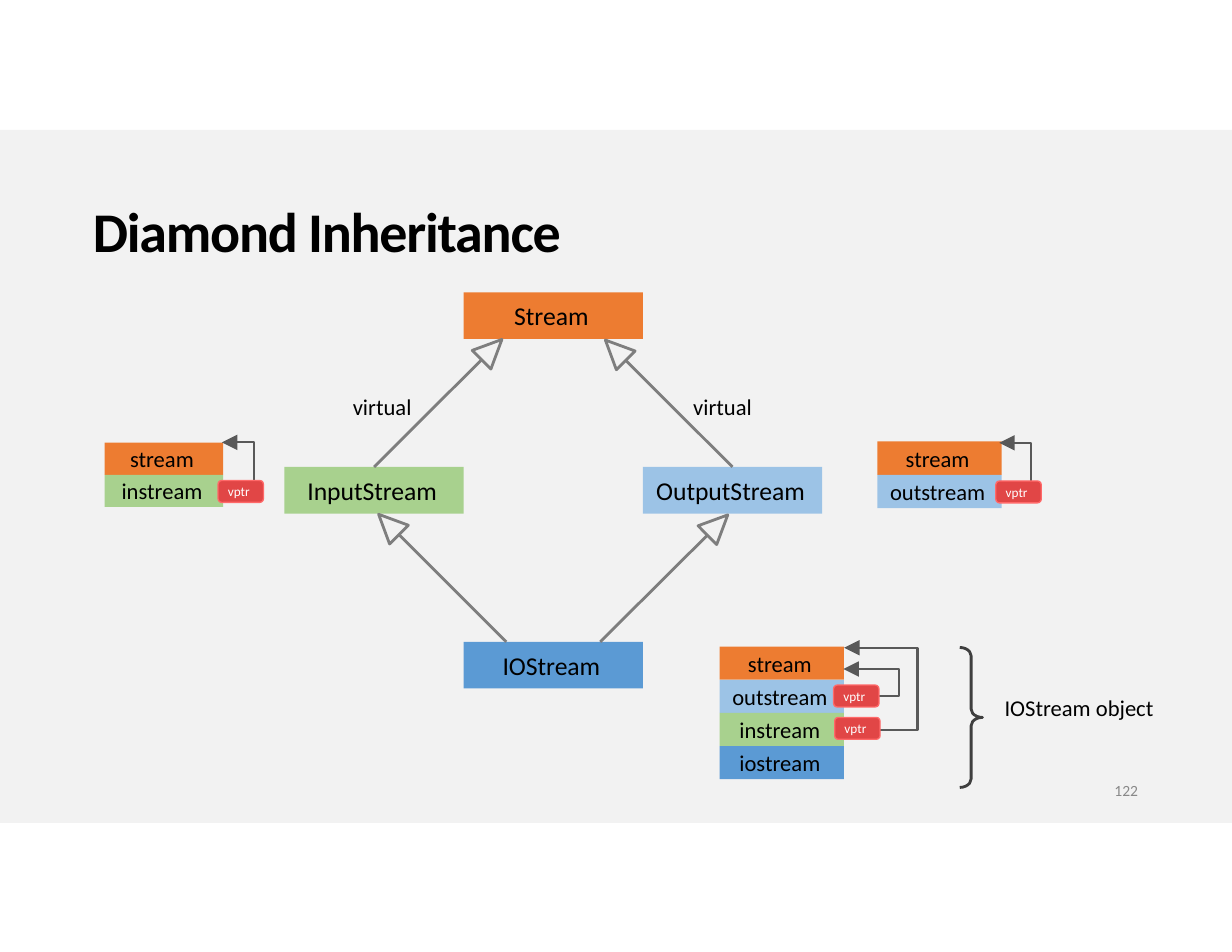
from dataclasses import dataclass
from math import hypot

from lxml import etree
from pptx import Presentation
from pptx.dml.color import RGBColor
from pptx.enum.shapes import MSO_CONNECTOR as CONN, MSO_SHAPE as SHAPE
from pptx.enum.text import MSO_ANCHOR as ANCHOR, PP_ALIGN as ALIGN
from pptx.oxml.ns import qn
from pptx.util import Pt


@dataclass(frozen=True)
class Theme:
    font: str = "Calibri"
    band: str = "F2F2F2"
    ink: str = "000000"
    white: str = "FFFFFF"
    orange: str = "ED7C31"
    blue: str = "5B9AD4"
    sky: str = "9CC3E6"
    green: str = "A8D18E"
    red: str = "E14646"
    red_edge: str = "FF6969"
    inherit: str = "7E7E7E"
    pointer: str = "595959"
    brace: str = "3F3F3F"
    page: str = "898989"
    title_pt: float = 36
    class_pt: float = 16.5
    body_pt: float = 14.5
    page_pt: float = 10
    tag_pt: float = 8.5


T = Theme()
rgb = RGBColor.from_string

prs = Presentation()
prs.slide_width, prs.slide_height = Pt(792), Pt(612)
s = prs.slides.add_slide(prs.slide_layouts[5])


def write(sp, text, size, color=T.ink, align=ALIGN.CENTER, bold=False):
    tf = sp.text_frame
    tf.word_wrap = True
    tf.vertical_anchor = ANCHOR.MIDDLE
    tf.margin_left = tf.margin_top = tf.margin_bottom = 0
    tf.margin_right = Pt(2.5)
    p = tf.paragraphs[0]
    p.alignment = align
    r = p.add_run()
    r.text = text
    r.font.name, r.font.size, r.font.bold = T.font, Pt(size), bold
    r.font.color.rgb = rgb(color)
    return r


def box(x, y, w, h, fill, kind=SHAPE.RECTANGLE):
    sp = s.shapes.add_shape(kind, Pt(x), Pt(y), Pt(w), Pt(h))
    sp.shadow.inherit = False
    sp.fill.solid()
    sp.fill.fore_color.rgb = rgb(fill)
    sp.line.fill.background()
    return sp


# Grey band, behind everything
band = box(0, 83.5, 792, 445.5, T.band)
s.shapes._spTree.insert(2, band._element)

# Title
title = s.shapes.title
title.left, title.top, title.width, title.height = Pt(59), Pt(122.4), Pt(520), Pt(46)
r = write(title, "Diamond Inheritance", T.title_pt, align=ALIGN.LEFT, bold=True)
r._r.get_or_add_rPr().set("spc", "-80")
title.text_frame.vertical_anchor = ANCHOR.TOP
title.text_frame.margin_left, title.text_frame.margin_top = Pt(0.7), Pt(4)

# Class boxes
classes = {}
for name, x, y, fill in [
    ("Stream", 298.1, 187.9, T.orange),
    ("InputStream", 182.9, 300.2, T.green),
    ("OutputStream", 413.3, 300.2, T.sky),
    ("IOStream", 298.1, 412.6, T.blue),
]:
    classes[name] = box(x, y, 115.2, 30, fill)
    write(classes[name], name, T.class_pt)

# Inheritance arrows: a line that ends at the base of a hollow triangle
HEAD, HALF = 18.5, 8.5
for (x1, y1), (x2, y2), child in [
    ((240.5, 300.2), (322.7, 218.2), "InputStream"),
    ((470.9, 300.2), (389.2, 218.6), "OutputStream"),
    ((325.5, 412.6), (243.4, 330.6), None),
    ((385.9, 412.6), (467.9, 331), None),
]:
    d = hypot(x2 - x1, y2 - y1)
    ux, uy = (x2 - x1) / d, (y2 - y1) / d
    bx, by = x2 - HEAD * ux, y2 - HEAD * uy
    line = s.shapes.add_connector(CONN.STRAIGHT, Pt(x1), Pt(y1), Pt(bx), Pt(by))
    if child:
        line.begin_connect(classes[child], 0)
    etree.SubElement(line._element.spPr, qn("a:effectLst"))
    fb = s.shapes.build_freeform(Pt(x2), Pt(y2))
    fb.add_line_segments([
        (Pt(bx - HALF * uy), Pt(by + HALF * ux)),
        (Pt(bx + HALF * uy), Pt(by - HALF * ux)),
    ], close=True)
    head = fb.convert_to_shape()
    head.shadow.inherit = False
    head.fill.background()
    for part in (line, head):
        part.line.color.rgb = rgb(T.inherit)
        part.line.width = Pt(1.8)

# Object layouts, one row per subobject
fills = {"stream": T.orange, "outstream": T.sky, "instream": T.green, "iostream": T.blue}
for x, y, w, row_h, rows in [
    (67.3, 284.6, 76.1, 20.7, ["stream", "instream"]),
    (564, 283.8, 80, 21.5, ["stream", "outstream"]),
    (462.6, 415.7, 80, 21.3, ["stream", "outstream", "instream", "iostream"]),
]:
    for i, name in enumerate(rows):
        write(box(x, y + i * row_h, w, row_h, fills[name]), name, T.body_pt)

# Pointers from each vptr to the shared stream part
for points in [
    [(163.2, 308.9), (163.2, 284.4), (142.6, 284.4)],
    [(663, 309.2), (663, 284.7), (642.4, 284.7)],
    [(565.9, 469.2), (589.8, 469.2), (589.8, 416.4), (542.7, 416.4)],
    [(565.4, 447.2), (578.2, 447.2), (578.2, 430.1), (542.2, 430.1)],
]:
    pts = [(Pt(px), Pt(py)) for px, py in points]
    fb = s.shapes.build_freeform(*pts[0])
    fb.add_line_segments(pts[1:], close=False)
    sp = fb.convert_to_shape()
    sp.shadow.inherit = False
    sp.fill.background()
    sp.line.color.rgb = rgb(T.pointer)
    sp.line.width = Pt(1.4)
    etree.SubElement(sp.line._get_or_add_ln(), qn("a:tailEnd"),
                     type="triangle", w="lg", len="lg")

# vptr tags
for x, y in [(140.2, 308.9), (640.2, 309.2), (536.6, 461.2), (535.9, 440.4)]:
    sp = box(x, y, 29.2, 14.1, T.red, SHAPE.ROUNDED_RECTANGLE)
    sp.adjustments[0] = 0.17
    sp.line.color.rgb = rgb(T.red_edge)
    sp.line.width = Pt(0.84)
    write(sp, "vptr", T.tag_pt, T.white)

# Brace around the IOStream object
brace = box(617, 416.2, 14.6, 90, T.band, SHAPE.RIGHT_BRACE)
brace.fill.background()
brace.adjustments[0] = 0.37
brace.line.color.rgb = rgb(T.brace)
brace.line.width = Pt(1.8)

# Labels and page number
for text, x, y, w, size, color in [
    ("virtual", 226.8, 251, 48, T.body_pt, T.ink),
    ("virtual", 445.6, 251, 48, T.body_pt, T.ink),
    ("IOStream object", 645.8, 444.5, 110, T.body_pt, T.ink),
    ("122", 716.4, 498, 24, T.page_pt, T.page),
]:
    sp = s.shapes.add_textbox(Pt(x), Pt(y), Pt(w), Pt(20))
    write(sp, text, size, color, ALIGN.LEFT)

prs.save("out.pptx")
